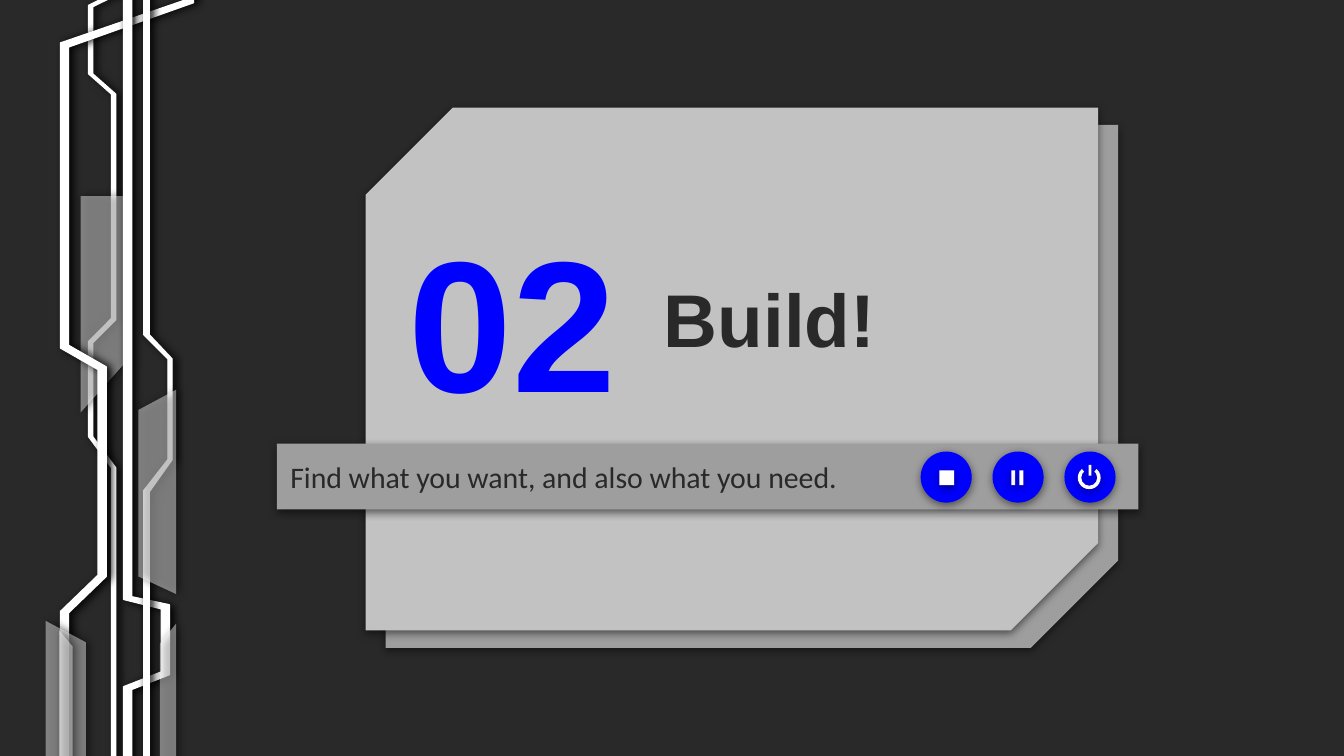
from collections import namedtuple
from dataclasses import dataclass

from lxml.etree import SubElement
from pptx import Presentation
from pptx.dml.color import RGBColor
from pptx.enum.shapes import MSO_SHAPE as Preset
from pptx.enum.text import MSO_ANCHOR as Anchor, MSO_AUTO_SIZE as AutoSize, PP_ALIGN as Align
from pptx.oxml.ns import qn
from pptx.util import Inches, Pt

Box = namedtuple("Box", "left top width height")


@dataclass(frozen=True)
class Theme:
    """Colours, fonts and type sizes of the deck."""

    dark: str = "292929"
    card: str = "C2C2C2"
    band: str = "9E9E9E"
    accent: str = "0000FF"
    light: str = "FFFFFF"
    heading_font: str = "Arial"
    body_font: str = "Calibri"
    number_size: int = 100
    title_size: int = 40
    subtitle_size: int = 16


THEME = Theme()

TRACES = [
    [(1.25, -1.91), (1.25, -0.25), (0.66, 0.04), (0.66, 0.55), (0.83, 0.7), (0.83, 2.37),
     (0.66, 2.54), (0.66, 3.25), (0.83, 3.48), (0.83, 5.66), (0.86, 5.66), (0.86, 3.48),
     (0.69, 3.25), (0.69, 2.55), (0.86, 2.38), (0.86, 0.7), (0.69, 0.55), (0.69, 0.05),
     (1.28, -0.24), (1.28, -1.91)],
    [(1.38, -1.96), (1.38, 0), (0.45, 0.32), (0.45, 2.59), (0.73, 2.75), (0.73, 4.28),
     (0.45, 4.55), (0.45, 5.9), (0.51, 5.9), (0.51, 4.56), (0.79, 4.29), (0.79, 2.73),
     (0.51, 2.57), (0.51, 0.35), (1.44, 0.02), (1.44, -1.96)],
    [(0.92, -2.03), (0.92, 4.46), (1.2, 4.53), (1.2, 5), (0.92, 5.11), (0.92, 5.66),
     (0.98, 5.66), (0.98, 5.13), (1.26, 5.02), (1.26, 4.5), (0.98, 4.44), (0.98, -2.03)],
    [(1.07, -2.03), (1.07, 2.49), (1.25, 2.67), (1.25, 3.42), (1.07, 3.65), (1.07, 5.96),
     (1.11, 5.96), (1.11, 3.66), (1.28, 3.42), (1.28, 2.67), (1.11, 2.49), (1.11, -2.03)],
]
REAR_PANEL = [(0.6, 1.46), (0.6, 3.07), (0.94, 2.69), (0.94, 1.46)]
FRONT_PANELS = [
    [(0.34, 4.62), (0.34, 6.19), (0.64, 6.19), (0.64, 4.78)],
    [(1.31, 2.9), (1.03, 3.05), (1.03, 4.29), (1.31, 4.42)],
    [(1.31, 4.64), (1.19, 4.79), (1.19, 6.03), (1.31, 6.17)],
    [(0.44, 4.69), (0.44, 6.13), (0.54, 5.99), (0.54, 4.81)],
]


def paint(part, color, outline=None, alpha=None, shadow_alpha=50, shadow_angle=90):
    """Fill a part and give it an outline, transparency and soft shadow."""
    part.fill.solid()
    part.fill.fore_color.rgb = RGBColor.from_string(color)
    properties = part._element.spPr
    if alpha:
        tint = properties.find(qn("a:solidFill")).find(qn("a:srgbClr"))
        SubElement(tint, qn("a:alpha"), val=str(alpha * 1000))
    if outline:
        part.line.color.rgb = RGBColor.from_string(outline)
        part.line.width = Pt(0.75)
    else:
        part.line.fill.background()
    part.shadow.inherit = False
    shadow = SubElement(properties.find(qn("a:effectLst")), qn("a:outerShdw"),
                        blurRad=str(Pt(4.5)), dist=str(Pt(1.5)),
                        dir=str(shadow_angle * 60000), algn="bl", rotWithShape="0")
    shade = SubElement(shadow, qn("a:srgbClr"), val="000000")
    SubElement(shade, qn("a:alpha"), val=str(shadow_alpha * 1000))


def add_part(shapes, preset, box, color, adjustments=()):
    """Add a painted preset shape."""
    part = shapes.add_shape(preset, *map(Inches, box))
    for index, value in enumerate(adjustments):
        part.adjustments[index] = value
    paint(part, color)
    return part


def place(holder, box):
    """Move a placeholder to a box, in front of what is already drawn."""
    holder.left, holder.top, holder.width, holder.height = map(Inches, box)
    tree = holder._element.getparent()
    tree.append(holder._element)


def write_text(holder, text, font, size, color, bold=False, align=Align.LEFT):
    """Write one formatted line of text, centred vertically."""
    frame = holder.text_frame
    frame.word_wrap = True
    frame.auto_size = AutoSize.NONE
    frame.vertical_anchor = Anchor.MIDDLE
    frame.margin_left = frame.margin_right = frame.margin_top = frame.margin_bottom = Inches(0.1)
    line = frame.paragraphs[0]
    line.alignment = align
    line.space_before = Pt(0)
    run = line.add_run()
    run.text = text
    run.font.name, run.font.size, run.font.bold = font, Pt(size), bold
    run.font.color.rgb = RGBColor.from_string(color)


def draw_card(slide, box):
    """Draw the snipped card and the darker card behind it."""
    group = slide.shapes.add_group_shape()
    behind = box._replace(left=box.left + 0.15, top=box.top + 0.13)
    for card_box, color in ((behind, THEME.band), (box, THEME.card)):
        add_part(group.shapes, Preset.SNIP_2_DIAG_RECTANGLE, card_box, color, (0.167, 0))


def draw_circuit(slide, box):
    """Draw the white traces and translucent panels down the side."""
    group = slide.shapes.add_group_shape()

    def outline_of(points):
        """Add a closed outline at the box."""
        corners = [(Inches(box.left + x), Inches(box.top + y)) for x, y in points]
        builder = group.shapes.build_freeform(*corners[0])
        builder.add_line_segments(corners[1:], close=True)
        return builder.convert_to_shape()

    trace_style = dict(outline=THEME.light)
    panel_style = dict(alpha=43)
    layers = [(TRACES[0], trace_style), (REAR_PANEL, panel_style)]
    layers += [(trace, trace_style) for trace in TRACES[1:]]
    layers += [(panel, panel_style) for panel in FRONT_PANELS]
    for points, style in layers:
        paint(outline_of(points), THEME.light, shadow_alpha=100, shadow_angle=0, **style)


def draw_heading(slide, box):
    """Place the section number and title side by side."""
    title = slide.shapes.title
    place(title, Box(box.left + 2.34, box.top, box.width - 2.34, box.height))
    write_text(title, "Build!", THEME.heading_font, THEME.title_size, THEME.dark, bold=True)
    number = slide.shapes.add_textbox(*map(Inches, box._replace(width=2.63)))
    write_text(number, "02", THEME.heading_font, THEME.number_size, THEME.accent,
               bold=True, align=Align.CENTER)


def draw_band(slide, box):
    """Draw the subtitle band with its three round buttons."""
    subtitle = slide.placeholders[1]
    place(subtitle, box)
    paint(subtitle, THEME.band)
    write_text(subtitle, "Find what you want, and also what you need.",
               THEME.body_font, THEME.subtitle_size, THEME.dark)


def draw_buttons(slide, box):
    """Draw the stop, pause and power buttons, evenly spread over the box."""
    size = box.height
    pitch = (box.width - size) / 2
    bar = Preset.RECTANGLE
    stop = [(bar, Box(0.14, 0.14, 0.11, 0.11), ())]
    pause = [(bar, Box(x, 0.14, 0.03, 0.11), ()) for x in (0.14, 0.2)]
    power = [(Preset.BLOCK_ARC, Box(0.1, 0.11, 0.17, 0.17), (186, 138, 0.15)),
             (bar, Box(0.18, 0.1, 0.02, 0.08), ())]
    group = slide.shapes.add_group_shape()
    for index, icon in enumerate((stop, pause, power)):
        left = box.left + index * pitch
        add_part(group.shapes, Preset.OVAL, Box(left, box.top, size, size), THEME.accent)
        for preset, piece, adjustments in icon:
            piece_box = piece._replace(left=left + piece.left, top=box.top + piece.top)
            add_part(group.shapes, preset, piece_box, THEME.light, adjustments)


def build_section_slide(deck):
    """Build the section opener."""
    slide = deck.slides.add_slide(deck.slide_layouts[0])
    slide.background.fill.solid()
    slide.background.fill.fore_color.rgb = RGBColor.from_string(THEME.dark)
    draw_card(slide, Box(2.72, 0.8, 5.45, 3.89))
    draw_circuit(slide, Box(0, 0, 1.44, 5.62))
    draw_band(slide, Box(2.06, 3.3, 6.41, 0.49))
    draw_heading(slide, Box(2.5, 1.6, 5.92, 1.53))
    draw_buttons(slide, Box(6.85, 3.36, 1.45, 0.38))


deck = Presentation()
deck.slide_width = Inches(10)
deck.slide_height = deck.slide_width * 9 // 16
build_section_slide(deck)
deck.save("out.pptx")
